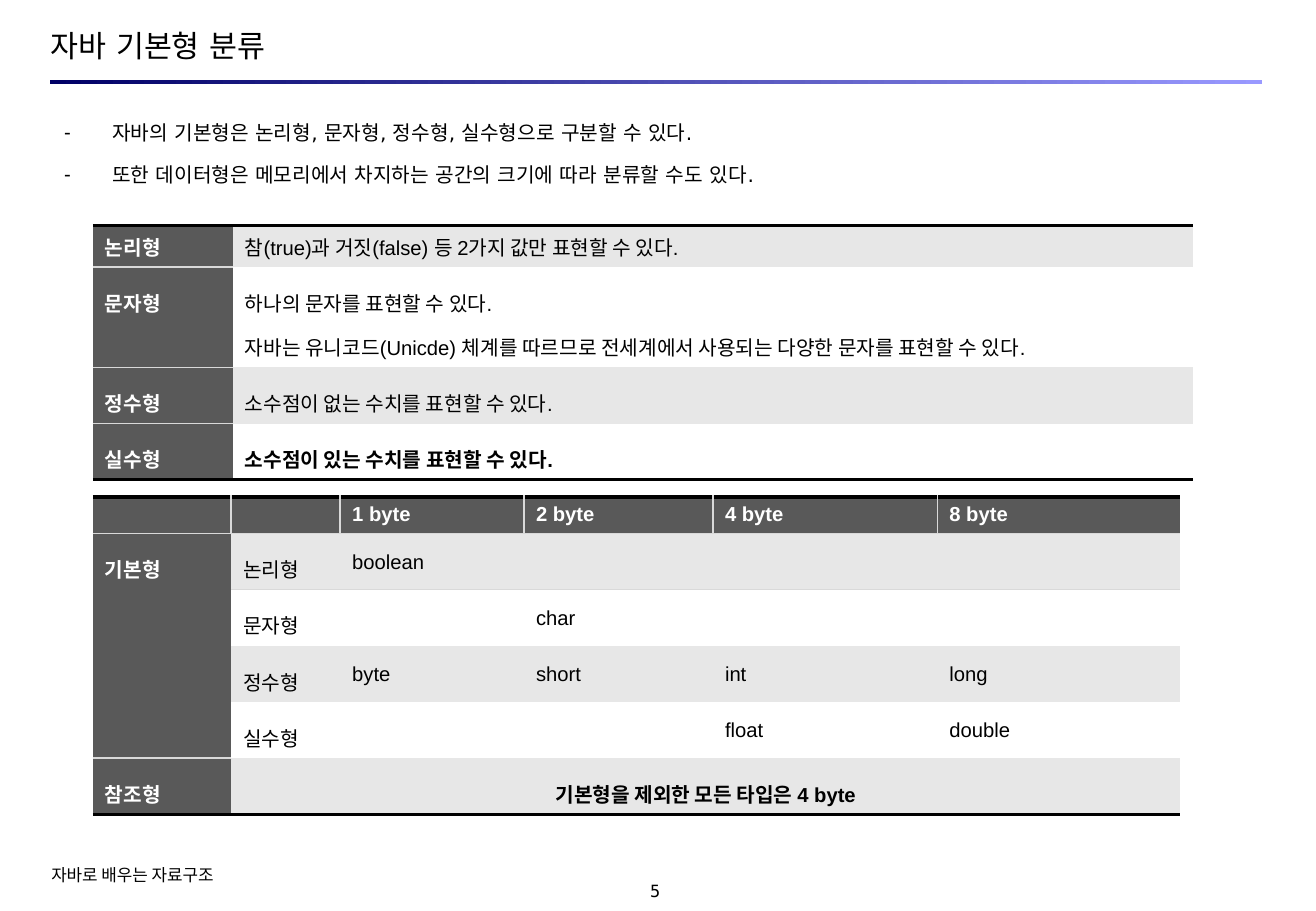
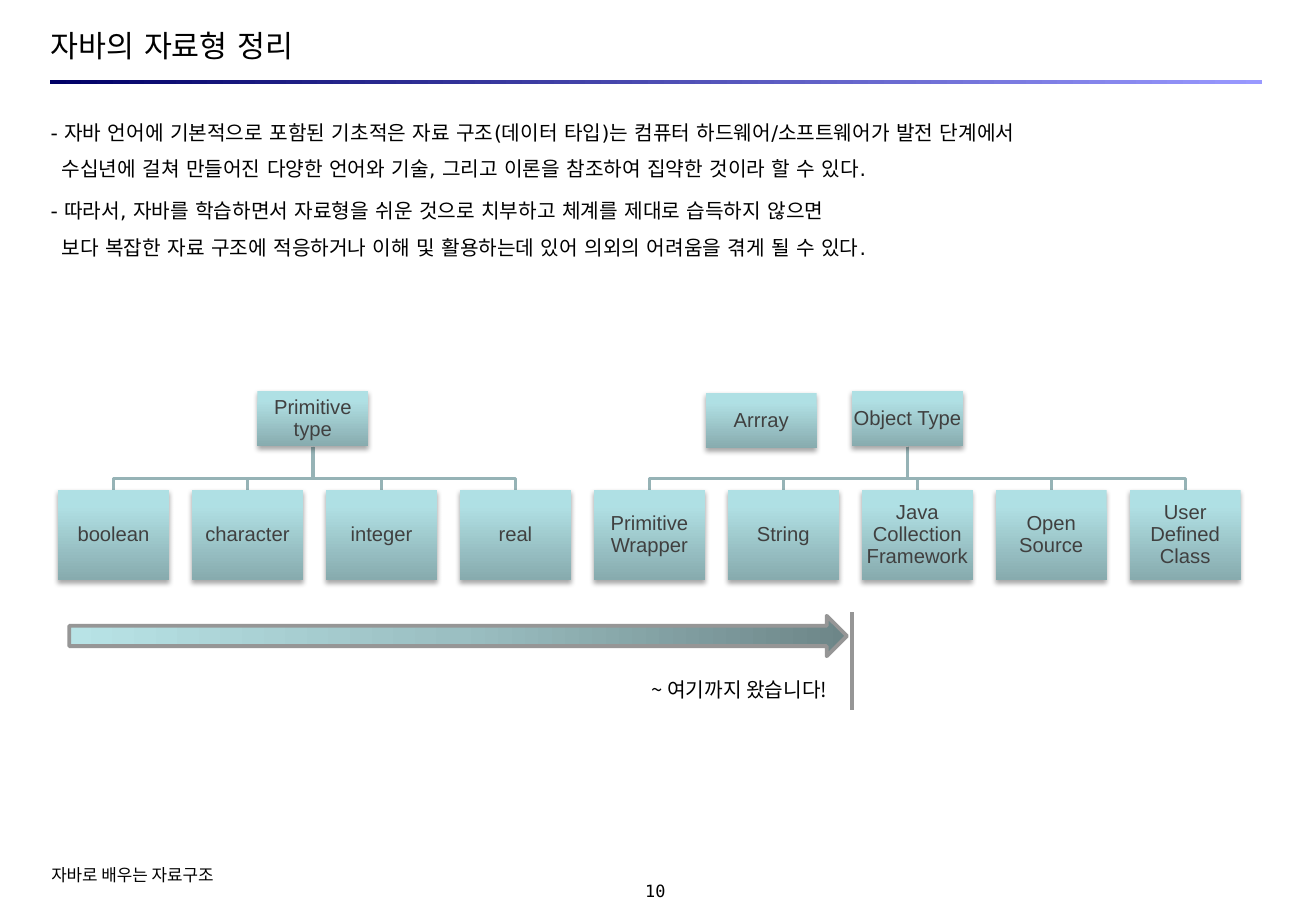
"""Two slides on the primitive and reference types of Java."""
from copy import deepcopy
from dataclasses import dataclass

from lxml import etree
from pptx import Presentation
from pptx import util as u
from pptx.dml.color import RGBColor
from pptx.enum import shapes, text
from pptx.oxml.ns import qn

ALIGN = text.PP_ALIGN
ANCHOR = text.MSO_ANCHOR
NO_GRID = "{2D5ABB26-0587-4C30-8999-92F81FD0307C}"


@dataclass(frozen=True)
class Theme:
    """Colours, fonts and type sizes that the slides share."""
    ink: str = "000000"
    paper: str = "FFFFFF"
    label: str = "595959"
    band: str = "E7E7E7"
    grid: str = "D9D9D9"
    node_ink: str = "404040"
    branch: str = "96B3B6"
    marker: str = "969696"
    rule: tuple = ((0, "000066"), (100, "9999FF"))
    node: tuple = ((0, "AFE0E4"), (20, "AFDEE2"), (100, "87ABAE"))
    progress: tuple = ((0, "B8E3E6"), (50, "9BBFC2"), (100, "6D8688"))
    prose: tuple = ("DejaVu Sans", "DejaVu Sans")
    page: tuple = ("DejaVu Sans Mono", "DejaVu Sans Mono")
    korean: tuple = ("Noto Sans CJK KR", "Noto Sans CJK KR")
    mixed: tuple = ("Arial", "Noto Sans CJK KR")
    title_size: int = 18
    body_size: int = 12
    small_size: int = 10


THEME = Theme()


def rgb(code):
    """Turn a hex code into a colour."""
    return RGBColor.from_string(code)


def add_xml(parent, tag, **attributes):
    """Append a DrawingML element to its parent."""
    return etree.SubElement(parent, qn(f"a:{tag}"), attributes)


def place(shape, box):
    """Move a shape to (left, top, width, height) in points."""
    shape.left, shape.top, shape.width, shape.height = map(u.Pt, box)


def write(frame, content, fonts=THEME.mixed, size=THEME.body_size, color=THEME.ink,
          bold=False, align=ALIGN.LEFT, anchor=ANCHOR.TOP, spacing=1.0, before=0,
          insets=None, wrap=True, margin=0, hanging=0, bullet=None):
    """Fill a text frame, one paragraph for each string in content."""
    frame.word_wrap = wrap
    frame.vertical_anchor = anchor
    if insets is not None:
        frame.margin_left = frame.margin_right = u.Pt(insets[0])
        frame.margin_top = frame.margin_bottom = u.Pt(insets[1])
    for index, line in enumerate([content] if isinstance(content, str) else content):
        paragraph = frame.add_paragraph() if index else frame.paragraphs[0]
        paragraph.text = line
        paragraph.alignment = align
        paragraph.line_spacing = spacing
        paragraph.space_before = u.Pt(before)
        props = paragraph._p.get_or_add_pPr()
        props.set("marL", str(u.Pt(margin)))
        props.set("indent", str(u.Pt(-hanging)))
        if bullet:
            add_xml(props, "buChar", char=bullet)
        else:
            add_xml(props, "buNone")
        for run in paragraph.runs:
            run.font.name, run.font.size, run.font.bold = fonts[0], u.Pt(size), bold
            run.font.color.rgb = rgb(color)
            add_xml(run._r.rPr, "ea", typeface=fonts[1])
        for line_break in paragraph._p.findall(qn("a:br")):
            line_break.append(deepcopy(paragraph.runs[0]._r.rPr))
        if not line:
            add_xml(paragraph._p, "endParaRPr", sz=str(size * 100))


def add_label(slide, box, content, **style):
    """Add a free text box."""
    label = slide.shapes.add_textbox(*map(u.Pt, box))
    write(label.text_frame, content, **style)


def add_block(slide, kind, box, stops, angle=0, outline=None):
    """Add a preset shape with a gradient and an optional outline."""
    block = slide.shapes.add_shape(kind, *map(u.Pt, box))
    block.shadow.inherit = False
    block.fill.gradient()
    gradient = block._element.spPr.find(qn("a:gradFill"))
    for child in list(gradient):
        gradient.remove(child)
    stop_list = add_xml(gradient, "gsLst")
    for position, color in stops:
        add_xml(add_xml(stop_list, "gs", pos=str(position * 1000)), "srgbClr", val=color)
    add_xml(gradient, "lin", ang=str(angle * 60000), scaled="0")
    if outline:
        block.line.color.rgb = rgb(outline)
        block.line.width = u.Pt(2.25)
    else:
        block.line.fill.background()
    return block


def add_node(slide, box, name):
    """Add one shaded box of the type tree."""
    node = add_block(slide, shapes.MSO_SHAPE.RECTANGLE, box, THEME.node, angle=90)
    shadow = add_xml(node._element.spPr.find(qn("a:effectLst")), "outerShdw",
                     blurRad=str(u.Pt(3.1)), dist=str(u.Pt(1.8)), dir="5400000",
                     rotWithShape="0")
    add_xml(add_xml(shadow, "srgbClr", val=THEME.ink), "alpha", val="35000")
    write(node.text_frame, name, color=THEME.node_ink, align=ALIGN.CENTER,
          anchor=ANCHOR.MIDDLE, spacing=0.9, insets=(0.7, 0.7))


def add_branch(slide, start, bend, end):
    """Add the angled line from a parent box down to a child box."""
    points = [start, (start[0], bend), (end[0], bend), end]
    builder = slide.shapes.build_freeform(*map(u.Pt, points[0]))
    builder.add_line_segments([tuple(map(u.Pt, point)) for point in points[1:]], close=False)
    branch = builder.convert_to_shape()
    branch.shadow.inherit = False
    branch.fill.background()
    branch.line.color.rgb = rgb(THEME.branch)
    branch.line.width = u.Pt(2)


def add_tree(slide, parent_box, name, child_boxes, child_names):
    """Add a parent box, its children and the branches between them."""
    left, top, width, height = parent_box
    start = (left + width / 2, top + height)
    for box in child_boxes:
        add_branch(slide, start, 283.5, (box[0] + box[2] / 2, box[1]))
    add_node(slide, parent_box, name)
    for box, child in zip(child_boxes, child_names):
        add_node(slide, box, child)


def set_borders(cell, **sides):
    """Draw cell borders, given as side=(colour, width) in the order L, R, T, B."""
    props = cell._tc.get_or_add_tcPr()
    for side, (color, width) in sides.items():
        line = add_xml(props, f"ln{side}", w=str(u.Pt(width)))
        add_xml(add_xml(line, "solidFill"), "srgbClr", val=color)


def add_grid(slide, origin, widths, heights, rows, header=False, merges=(), bold_cell=None,
             bold_align=ALIGN.LEFT):
    """Add a table with a dark label column, banded rows and black outer rules."""
    frame = slide.shapes.add_table(len(rows), len(widths), *map(u.Pt, origin),
                                   u.Pt(sum(widths)), u.Pt(sum(heights)))
    table = frame.table
    table._tbl.tblPr.find(qn("a:tableStyleId")).text = NO_GRID
    for column, width in zip(table.columns, widths):
        column.width = u.Pt(width)
    for row, height in zip(table.rows, heights):
        row.height = u.Pt(height)
    thick, thin = (THEME.ink, 2.25), (THEME.grid, 1)
    last = len(rows) - 1
    for r, values in enumerate(rows):
        for c, value in enumerate(values):
            cell = table.cell(r, c)
            heading = header and r == 0
            dark = heading or c == 0
            strong = (r, c) == bold_cell
            sides = {}
            if heading and c:
                sides["L"] = thin
            if heading and c < len(widths) - 1:
                sides["R"] = thin
            if r == 0:
                sides["T"] = thick
            elif c == 0 or (header and r == 1):
                sides["T"] = thin
            if r == last:
                sides["B"] = thick
            elif dark:
                sides["B"] = thin
            set_borders(cell, **sides)
            striped = r % 2 == int(header)
            cell.fill.solid()
            cell.fill.fore_color.rgb = rgb(
                THEME.label if dark else THEME.band if striped else THEME.paper)
            write(cell.text_frame, value, color=THEME.paper if dark else THEME.ink,
                  bold=dark or strong, align=bold_align if strong else ALIGN.LEFT,
                  spacing=1.0 if r == 0 else 1.5)
    for first, final in merges:
        table.cell(*first).merge(table.cell(*final))


def add_page(deck, title, number, body_height, paragraphs, **body_style):
    """Add a slide with its title, rule, footer, page number and body text."""
    slide = deck.slides.add_slide(deck.slide_layouts[1])
    heading, body = slide.placeholders[0], slide.placeholders[1]
    place(heading, (30, 16, 718, 21.6))
    place(body, (30, 64, 718, body_height))
    for holder in (heading, body):
        holder.text_frame.auto_size = text.MSO_AUTO_SIZE.NONE
    write(heading.text_frame, title, fonts=THEME.prose, size=THEME.title_size,
          anchor=ANCHOR.MIDDLE, insets=(0, 0))
    write(body.text_frame, paragraphs, fonts=THEME.prose, spacing=1.5, before=3.3,
          insets=(0, 0), **body_style)
    add_block(slide, shapes.MSO_SHAPE.RECTANGLE, (29.6, 47.5, 718.4, 2.2), THEME.rule)
    add_label(slide, (29, 512, 222.5, 14), "자바로 배우는 자료구조", fonts=THEME.korean,
              size=THEME.small_size, insets=(1.4, 0.7))
    add_label(slide, (364.3, 522, 48.2, 12.2), number, fonts=THEME.page,
              size=THEME.small_size, align=ALIGN.CENTER, anchor=ANCHOR.MIDDLE, insets=(0, 0))
    return slide


def add_classification(deck):
    """Build the slide that classifies the primitive types."""
    slide = add_page(deck, "자바 기본형 분류", "5", 47, [
        "자바의 기본형은 논리형, 문자형, 정수형, 실수형으로 구분할 수 있다.",
        "또한 데이터형은 메모리에서 차지하는 공간의 크기에 따라 분류할 수도 있다.",
    ], margin=36.5, hanging=28.5, bullet="-")
    add_grid(slide, (55, 133.8), (83, 569), (24.4, 59.6, 33.3, 33.3), [
        ("논리형", "참(true)과 거짓(false) 등 2가지 값만 표현할 수 있다."),
        ("문자형", "하나의 문자를 표현할 수 있다.\n자바는 유니코드(Unicde) 체계를 따르므로 "
                "전세계에서 사용되는 다양한 문자를 표현할 수 있다."),
        ("정수형", "소수점이 없는 수치를 표현할 수 있다."),
        ("실수형", "소수점이 있는 수치를 표현할 수 있다."),
    ], bold_cell=(3, 1))
    add_grid(slide, (55, 294.6), (82, 64.6, 109, 112, 133, 144), (20.8,) + (33.3,) * 5, [
        ("", "", "1 byte", "2 byte", "4 byte", "8 byte"),
        ("기본형", "논리형", "boolean", "", "", ""),
        ("", "문자형", "", "char", "", ""),
        ("", "정수형", "byte", "short", "int", "long"),
        ("", "실수형", "", "", "float", "double"),
        ("참조형", "기본형을 제외한 모든 타입은 4 byte", "", "", "", ""),
    ], header=True, merges=[((1, 0), (4, 0)), ((5, 1), (5, 5))],
        bold_cell=(5, 1), bold_align=ALIGN.CENTER)


def add_summary(deck):
    """Build the slide that sums up the types as a tree."""
    slide = add_page(deck, "자바의 자료형 정리", "10", 90, [
        "- 자바 언어에 기본적으로 포함된 기초적은 자료 구조(데이터 타입)는 컴퓨터 "
        "하드웨어/소프트웨어가 발전 단계에서\n수십년에 걸쳐 만들어진 다양한 언어와 기술, "
        "그리고 이론을 참조하여 집약한 것이라 할 수 있다.",
        "- 따라서, 자바를 학습하면서 자료형을 쉬운 것으로 치부하고 체계를 제대로 습득하지 "
        "않으면\n보다 복잡한 자료 구조에 적응하거나 이해 및 활용하는데 있어 의외의 어려움을 "
        "겪게 될 수 있다.",
    ], margin=6.6, hanging=6.6)
    width, height = 65.8, 33
    leaves = [(34.4 + 79.4 * i, 290.4, width, 53.4) for i in range(9)]
    add_tree(slide, (505, 231.7, width, height), "Object Type", leaves[4:],
             ["Primitive Wrapper", "String", "Java Collection Framework", "Open Source",
              "User Defined Class"])
    add_tree(slide, (152.5, 231.7, width, height), "Primitive type", leaves[:4],
             ["boolean", "character", "integer", "real"])
    add_node(slide, (418.3, 232.8, width, height), "Arrray")
    add_block(slide, shapes.MSO_SHAPE.RIGHT_ARROW, (41, 365, 461, 24), THEME.progress,
              outline=THEME.marker)
    limit = slide.shapes.add_connector(shapes.MSO_CONNECTOR.STRAIGHT,
                                       *map(u.Pt, (505, 363, 505, 421)))
    limit.line.color.rgb = rgb(THEME.marker)
    limit.line.width = u.Pt(2.25)
    add_xml(limit._element.spPr, "effectLst")
    add_label(slide, (372.3, 398, 132, 21.6), "~ 여기까지 왔습니다!", fonts=THEME.korean,
              align=ALIGN.CENTER, wrap=False)


def main():
    """Build and save the deck."""
    deck = Presentation()
    deck.slide_width, deck.slide_height = u.Pt(780), u.Pt(540)
    add_classification(deck)
    add_summary(deck)
    deck.save("out.pptx")


if __name__ == "__main__":
    main()
